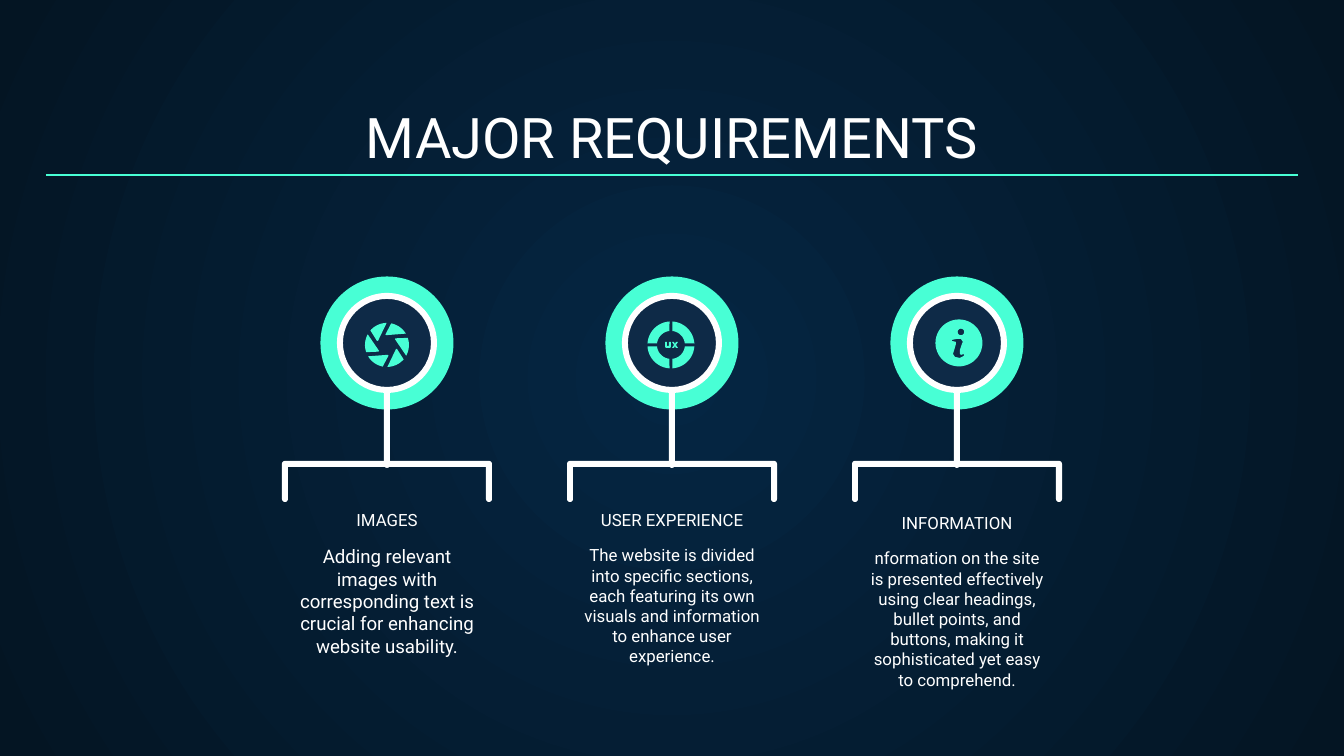
"""Builds the Major Requirements slide: three icon badges with captions."""
from dataclasses import dataclass
from math import cos, radians, sin

from pptx import Presentation
from pptx.dml.color import RGBColor
from pptx.enum.shapes import MSO_CONNECTOR, MSO_SHAPE
from pptx.enum.text import MSO_ANCHOR, MSO_AUTO_SIZE, PP_ALIGN
from pptx.oxml import parse_xml
from pptx.oxml.ns import nsdecls, qn
from pptx.util import Pt


@dataclass(frozen=True)
class Theme:
    font: str = "Roboto"
    white: str = "FFFFFF"
    mint: str = "48FFD5"
    navy: str = "0E2A47"
    glow: str = "052643"
    edge: str = "041523"
    title: int = 30
    heading: int = 9
    rule: float = 0.75


THEME = Theme()
TITLE = "MAJOR REQUIREMENTS"
COLUMNS = [
    {"heading": "IMAGES", "icon": "shutter", "size": 10, "drop": 0,
     "body": "Adding relevant images with corresponding text is crucial for "
             "enhancing website usability."},
    {"heading": "USER EXPERIENCE", "icon": "ux", "size": 9, "drop": 0,
     "body": "The website is divided into specific sections, each featuring its own "
             "visuals and information to enhance user experience."},
    {"heading": "INFORMATION", "icon": "info", "size": 9, "drop": 3,
     "body": "nformation on the site is presented effectively using clear headings, "
             "bullet points, and buttons, making it sophisticated yet easy to comprehend."},
]
LETTER_U = [(-6, -3), (-4, -3), (-4, 1), (-2, 1), (-2, -3), (0, -3),
            (0, 2), (-1, 3), (-5, 3), (-6, 2)]
LETTER_X = [(1, -3), (3, -3), (4, -1), (5, -3), (7, -3), (5, 0),
            (7, 3), (5, 3), (4, 1), (3, 3), (1, 3), (3, 0)]
LETTER_I = [(-7, -3), (-2, -4), (2, -4), (4, -1), (3, 1), (1, 7), (1, 11), (2, 12),
            (5, 11), (5, 13), (1, 15), (-4, 14), (-6, 11), (-5, 8), (-3, 1),
            (-3, -1), (-7, -2)]

WIDTH, HEIGHT = 1344, 756
PITCH = 285
BADGE_Y = 343
INSET = 13


def px(value):
    return round(value * 914400 / 134.4)


def rgb(color):
    return RGBColor.from_string(color)


def arc(x, y, radius, start, end, steps=12):
    angles = [radians(start + (end - start) * i / steps) for i in range(steps + 1)]
    return [(x + radius * cos(a), y + radius * sin(a)) for a in angles]


def turn(points, degrees):
    c, s = cos(radians(degrees)), sin(radians(degrees))
    return [(x * c - y * s, x * s + y * c) for x, y in points]


def paint(shape, color):
    shape.shadow.inherit = False
    shape.fill.solid()
    shape.fill.fore_color.rgb = rgb(color)
    shape.line.fill.background()
    return shape


def add_preset(page, kind, x, y, width, height, color, adjust=None):
    shape = page.shapes.add_shape(kind, px(x), px(y), px(width), px(height))
    if adjust is not None:
        shape.adjustments[0] = adjust
    return paint(shape, color)


def add_disc(page, x, diameter, color, kind=MSO_SHAPE.OVAL, adjust=None):
    corner = x - diameter / 2, BADGE_Y - diameter / 2
    return add_preset(page, kind, *corner, diameter, diameter, color, adjust)


def add_outline(page, x, y, contours, color):
    placed = [[(px(x + dx), px(y + dy)) for dx, dy in points] for points in contours]
    builder = page.shapes.build_freeform(*placed[0][0], scale=1.0)
    builder.add_line_segments(placed[0][1:], close=True)
    for points in placed[1:]:
        builder.move_to(*points[0])
        builder.add_line_segments(points[1:], close=True)
    return paint(builder.convert_to_shape(), color)


def add_icon(page, name, x):
    blade = arc(0, 0, 22, 221, 269) + [(-9, -4), (-10, -4)]
    quadrant = arc(0, 0, 23.5, 3.5, 86.5) + arc(0, 0, 14, 84, 6)
    info = [arc(0, 0, 23.5, 0, 360, 48), arc(2, -11, 3.3, 0, 360), LETTER_I]
    dx, y, parts = {
        "shutter": (0, 345, [[turn(blade, 60 * i)] for i in range(6)]),
        "ux": (-1, 345, [[turn(quadrant, 90 * i)] for i in range(4)]
               + [[LETTER_U], [LETTER_X]]),
        "info": (2, 343, [info]),
    }[name]
    shapes = [add_outline(page, x + dx, y, part, THEME.mint) for part in parts]
    if len(shapes) > 1:
        page.shapes.add_group_shape(shapes)


def add_badge(page, x, icon):
    bracket = (arc(-102, 464, 3, 180, 270) + arc(102, 464, 3, 270, 360)
               + arc(102, 499, 3, 0, 180) + [(99, 467), (-99, 467)]
               + arc(-102, 499, 3, 0, 180))
    add_outline(page, x, 0, [bracket], THEME.white)
    add_disc(page, x, 133, THEME.mint)
    add_preset(page, MSO_SHAPE.ROUNDED_RECTANGLE, x - 3, 333, 6, 135, THEME.white, 0.5)
    add_disc(page, x, 94, THEME.navy)
    add_disc(page, x, 100, THEME.white, MSO_SHAPE.DONUT, 0.06)
    add_icon(page, icon, x)


def write(box, text, size, anchor):
    frame = box.text_frame
    frame.word_wrap = True
    frame.auto_size = MSO_AUTO_SIZE.NONE
    frame.vertical_anchor = anchor
    frame.margin_left = frame.margin_right = px(INSET)
    frame.margin_top = frame.margin_bottom = px(INSET)
    para = frame.paragraphs[0]
    para.alignment = PP_ALIGN.CENTER
    span = para.add_run()
    span.text = text
    span.font.name = THEME.font
    span.font.size = Pt(size)
    span.font.color.rgb = rgb(THEME.white)


def add_text(page, x, y, width, height, text, size, anchor):
    box = page.shapes.add_textbox(px(x - width / 2), px(y), px(width), px(height))
    write(box, text, size, anchor)


def set_background(page):
    fill = page.background.fill
    fill.gradient()
    for stop, color in zip(fill.gradient_stops, (THEME.glow, THEME.edge)):
        stop.color.rgb = rgb(color)
    gradient = page.element.find(".//" + qn("a:gradFill"))
    gradient.remove(gradient.find(qn("a:lin")))
    gradient.append(parse_xml(
        f'<a:path {nsdecls("a")} path="circle">'
        '<a:fillToRect l="50000" t="50000" r="50000" b="50000"/></a:path>'))


def add_title(page):
    title = page.shapes.title
    title.left, title.top, title.width, title.height = map(px, (46, 94, 1252, 89))
    write(title, TITLE, THEME.title, MSO_ANCHOR.BOTTOM)


def add_rule(page):
    rule = page.shapes.add_connector(
        MSO_CONNECTOR.STRAIGHT, px(46), px(175), px(1298), px(175))
    rule.line.color.rgb = rgb(THEME.mint)
    rule.line.width = Pt(THEME.rule)
    rule.element.spPr.append(parse_xml(f'<a:effectLst {nsdecls("a")}/>'))


def main():
    deck = Presentation()
    deck.slide_width, deck.slide_height = px(WIDTH), px(HEIGHT)
    page = deck.slides.add_slide(deck.slide_layouts[5])
    set_background(page)
    add_title(page)
    for i, column in enumerate(COLUMNS):
        x = WIDTH // 2 + (i - 1) * PITCH
        drop = column["drop"]
        add_text(page, x, 532 + drop, 204, 74, column["body"], column["size"],
                 MSO_ANCHOR.TOP)
        add_text(page, x, 515 + drop, 305, 28, column["heading"], THEME.heading,
                 MSO_ANCHOR.BOTTOM)
        add_badge(page, x, column["icon"])
    add_rule(page)
    deck.save("out.pptx")


if __name__ == "__main__":
    main()
